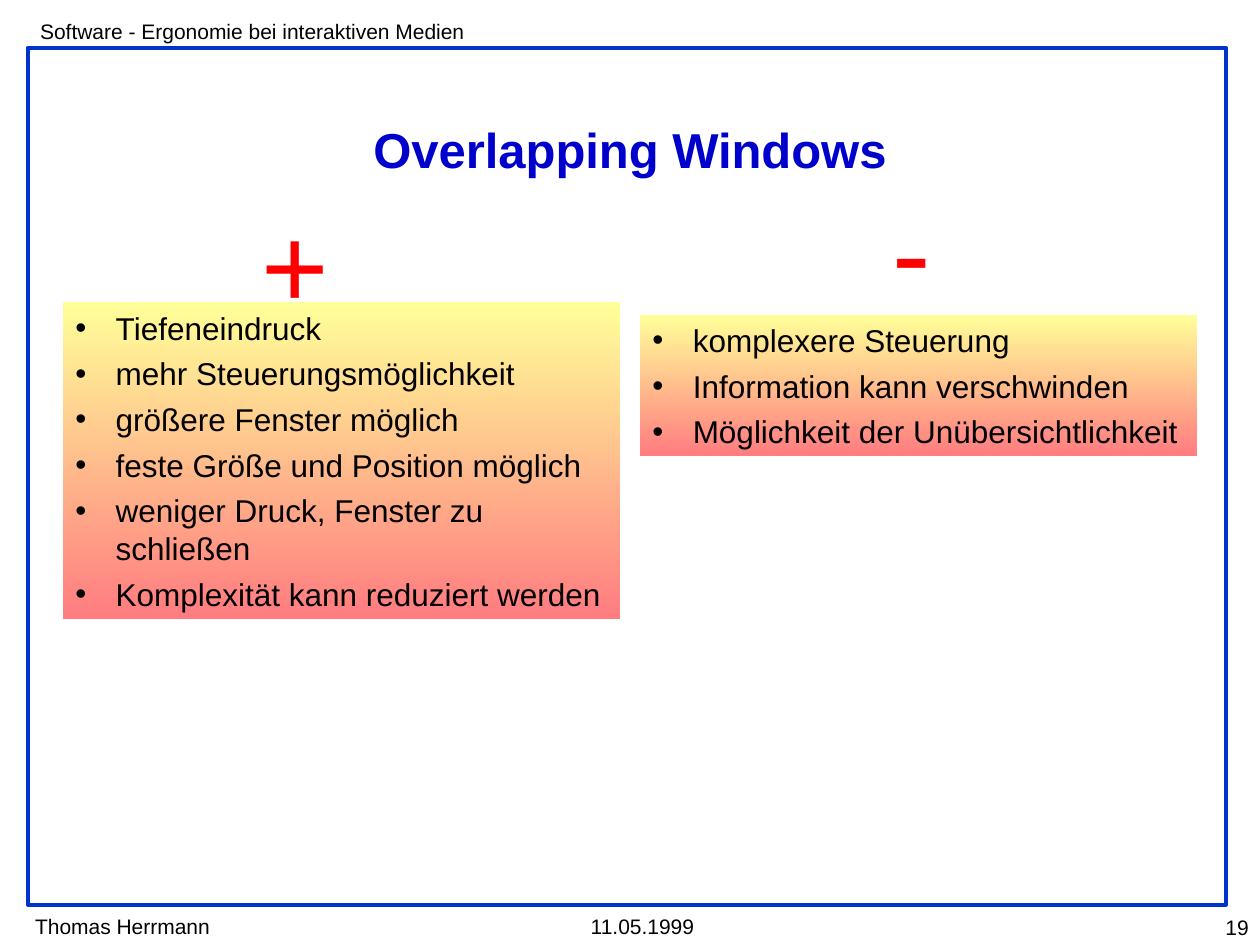
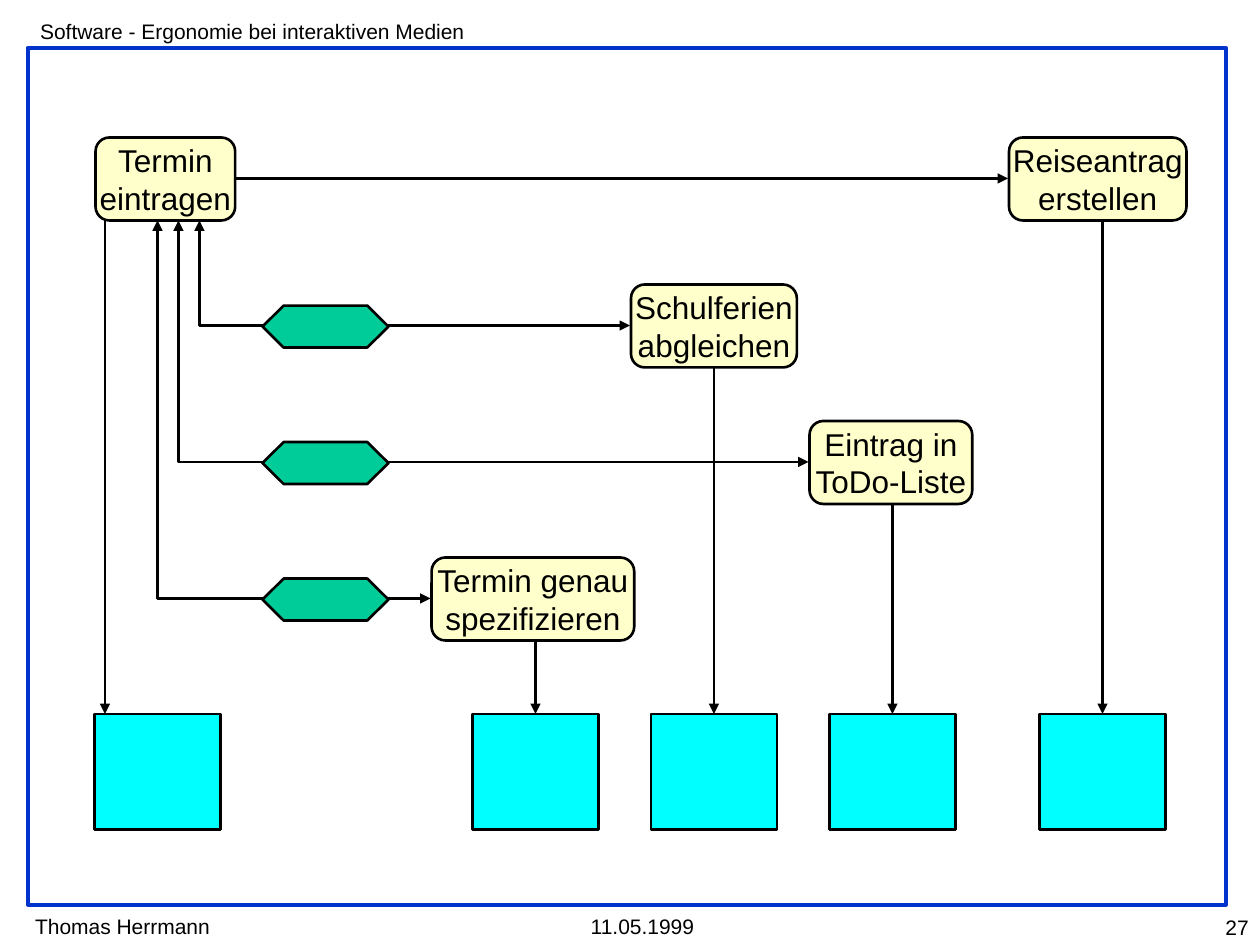
from lxml import etree
from pptx import Presentation
from pptx.dml.color import RGBColor
from pptx.enum.shapes import MSO_CONNECTOR, MSO_SHAPE
from pptx.enum.text import MSO_ANCHOR, MSO_AUTO_SIZE, PP_ALIGN
from pptx.oxml.ns import qn
from pptx.util import Inches, Pt

LEFT, CENTER, RIGHT = PP_ALIGN.LEFT, PP_ALIGN.CENTER, PP_ALIGN.RIGHT
TOP, MIDDLE = MSO_ANCHOR.TOP, MSO_ANCHOR.MIDDLE
RECT, ROUND, HEX = MSO_SHAPE.RECTANGLE, MSO_SHAPE.ROUNDED_RECTANGLE, MSO_SHAPE.HEXAGON
STRAIGHT = MSO_CONNECTOR.STRAIGHT
FONT = "Arial"
COLORS = {"frame": "0033CC", "title": "0000CC", "ink": "000000", "sign": "FF0000",
          "light": "FFFF99", "dark": "FF7C80", "task": "FFFFCC",
          "choice": "00CC99", "screen": "00FFFF"}
WIDTH, HEIGHT = 10, 7.5
CELL = WIDTH / 120  # the flow chart's grid has 120 columns and 90 rows


def rgb(name):
    return RGBColor.from_string(COLORS[name])


def inches(box):
    return [Inches(v) for v in box]


def grid(*cells):
    """Turn columns and rows into inches."""
    return [v * CELL for v in cells]


def write(shape, lines, size, color="ink", align=LEFT, anchor=TOP,
          wrap=True, pad=(0.1, 0.05), bold=False, bullet=False):
    frame = shape.text_frame
    frame.text = "\n".join(lines)
    frame.auto_size = MSO_AUTO_SIZE.NONE
    frame.word_wrap = wrap
    frame.vertical_anchor = anchor
    frame.margin_left = frame.margin_right = Inches(pad[0])
    frame.margin_top = frame.margin_bottom = Inches(pad[1])
    for para in frame.paragraphs:
        para.alignment = align
        if bullet:
            add_dot(para)
        para.font.name, para.font.size, para.font.bold = FONT, Pt(size), bold
        para.font.color.rgb = rgb(color)


def add_dot(para):
    para.space_before = Pt(4.5)
    props = para._p.get_or_add_pPr()
    props.set("marL", str(Inches(0.32)))
    props.set("indent", str(-Inches(0.32)))
    etree.SubElement(props, qn("a:buFont"), typeface=FONT)
    etree.SubElement(props, qn("a:buChar"), char="•")


def add_text(slide, box, lines, size, **style):
    write(slide.shapes.add_textbox(*inches(box)), lines, size, **style)


def draw_line(shape, color="ink", width=1.5):
    shape.line.color.rgb = rgb(color)
    shape.line.width = Pt(width)


def add_box(slide, kind, box, fill=None):
    shape = slide.shapes.add_shape(kind, *inches(box))
    shape.shadow.inherit = False
    if fill:
        shape.fill.solid()
        shape.fill.fore_color.rgb = rgb(fill)
    else:
        shape.fill.background()
    return shape


def add_tips(shape, *ends):
    line = shape.line._get_or_add_ln()
    for end in ends:
        etree.SubElement(line, qn(f"a:{end}End"), type="triangle")


def add_arrow(slide, start, end):
    arrow = slide.shapes.add_connector(STRAIGHT, *inches(grid(*start, *end)))
    draw_line(arrow)
    add_tips(arrow, "tail")
    etree.SubElement(arrow._element.spPr, qn("a:effectLst"))


def add_elbow(slide, start, end):
    """Run down, then right, with a tip at both ends."""
    first, *rest = [inches(grid(*p)) for p in (start, (start[0], end[1]), end)]
    path = slide.shapes.build_freeform(*first)
    path.add_line_segments(rest, close=False)
    elbow = path.convert_to_shape()
    elbow.shadow.inherit = False
    elbow.fill.background()
    draw_line(elbow)
    add_tips(elbow, "head", "tail")


def add_page(deck, number, title=None):
    """Start a slide with the frame, header and footer, and maybe a title."""
    slide = deck.slides.add_slide(deck.slide_layouts[5 if title else 6])
    draw_line(add_box(slide, RECT, (0.22, 0.38, 9.51, 6.8)), "frame", 2.25)
    foot = 0.96 * HEIGHT
    for box, text, align in (
            ((0.22, 0.1, 3.7, 0.3), "Software - Ergonomie bei interaktiven Medien", LEFT),
            ((0.18, foot, 1.59, 0.3), "Thomas Herrmann", LEFT),
            ((4.59, foot, 1.03, 0.3), "11.05.1999", LEFT),
            ((9.05, foot + 0.01, 0.96, 0.3), str(number), RIGHT)):
        add_text(slide, box, [text], 12, align=align, wrap=False)
    if title:
        head = slide.shapes.title
        head.left, head.top, head.width, head.height = inches((0.5, 0.9, 9, 0.56))
        write(head, [title], 28, "title", CENTER, MIDDLE, bold=True)
    return slide


def add_panel(slide, box, points, sign, place):
    """Add a shaded list and its sign, placed from the list's corner."""
    panel = add_box(slide, RECT, box)
    panel.line.fill.background()
    panel.fill.gradient()
    panel.fill.gradient_angle = 270
    for stop, name in zip(panel.fill.gradient_stops, ("light", "dark")):
        stop.color.rgb = rgb(name)
    write(panel, points, 18, anchor=MIDDLE, bullet=True)
    dx, dy, width = place
    add_text(slide, (box[0] + dx, box[1] + dy, width, 1.1), [sign], 66, color="sign",
             align=CENTER, anchor=MIDDLE, wrap=False, pad=(0, 0))


def add_pros(deck):
    slide = add_page(deck, 19, "Overlapping Windows")
    add_panel(slide, (0.5, 2.4, 4.42, 2.51),
              ["Tiefeneindruck", "mehr Steuerungsmöglichkeit",
               "größere Fenster möglich", "feste Größe und Position möglich",
               "weniger Druck, Fenster zu schließen",
               "Komplexität kann reduziert werden"], "+", (1.57, -0.87, 0.54))
    add_panel(slide, (5.08, 2.5, 4.42, 1.12),
              ["komplexere Steuerung", "Information kann verschwinden",
               "Möglichkeit der Unübersichtlichkeit"], "-", (2, -1.08, 0.31))


def add_task(slide, left, row, width, lines):
    task = add_box(slide, ROUND, grid(left + 0.1, row - 3.9, width, 7.9), "task")
    draw_line(task)
    write(task, lines, 18, align=CENTER, anchor=MIDDLE, wrap=False, pad=(0, 0))


def add_choice(slide, row):
    choice = add_box(slide, HEX, grid(25, row - 1.9, 12, 4), "choice")
    choice.adjustments[0] = 0.505
    draw_line(choice)


def add_flow(deck):
    slide = add_page(deck, 27)
    first, base, floor = 17, 21, 68
    # left, middle row, width, stem column, screen column, return column, lines
    tasks = [(9, first, 13.3, 10, 9, None, ["Termin", "eintragen"]),
             (96, first, 16.9, 105, 99, None, ["Reiseantrag", "erstellen"]),
             (60, 31, 15.8, 68, 62, 19, ["Schulferien", "abgleichen"]),
             (77, 44, 15.5, 85, 79, 17, ["Eintrag in", "ToDo-Liste"]),
             (41, 57, 19.3, 51, 45, 15, ["Termin genau", "spezifizieren"])]
    add_arrow(slide, (base, first), (96, first))
    for left, row, width, stem, screen, back, lines in tasks:
        draw_line(add_box(slide, RECT, grid(screen, floor, 12, 11), "screen"))
        add_arrow(slide, (stem, row + 4), (stem, floor))
        if back:
            add_elbow(slide, (back, base), (left, row))
            add_choice(slide, row)
    for left, row, width, *_, lines in tasks:
        add_task(slide, left, row, width, lines)


def main():
    deck = Presentation()
    deck.slide_width, deck.slide_height = inches((WIDTH, HEIGHT))
    add_pros(deck)
    add_flow(deck)
    deck.save("out.pptx")


if __name__ == "__main__":
    main()
